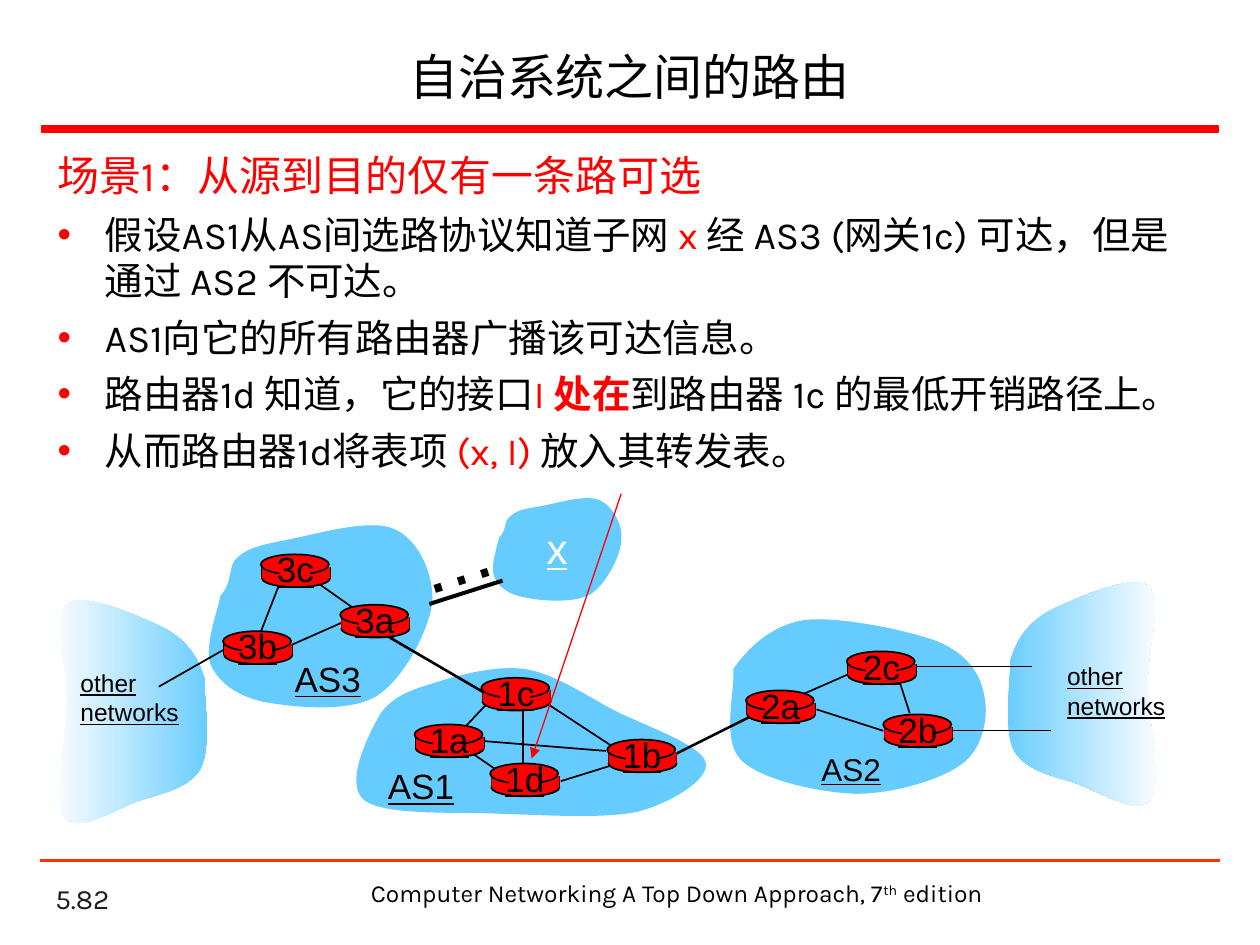
from lxml import etree
from pptx import Presentation
from pptx.dml.color import RGBColor
from pptx.enum.shapes import MSO_CONNECTOR, MSO_SHAPE
from pptx.enum.text import MSO_ANCHOR, MSO_AUTO_SIZE, PP_ALIGN
from pptx.oxml.ns import qn
from pptx.util import Inches, Pt

BLACK = RGBColor(0x00, 0x00, 0x00)
CHARCOAL = RGBColor(0x1C, 0x1C, 0x1C)
WHITE = RGBColor(0xFF, 0xFF, 0xFF)
RED = RGBColor(0xFF, 0x00, 0x00)
ORANGE = RGBColor(0xFF, 0x33, 0x00)
SKY = RGBColor(0x66, 0xCC, 0xFF)

STRAIGHT = MSO_CONNECTOR.STRAIGHT
OVAL, RECTANGLE = MSO_SHAPE.OVAL, MSO_SHAPE.RECTANGLE
TOP, MIDDLE, BOTTOM = MSO_ANCHOR.TOP, MSO_ANCHOR.MIDDLE, MSO_ANCHOR.BOTTOM
LEFT, CENTER = PP_ALIGN.LEFT, PP_ALIGN.CENTER
GROW = MSO_AUTO_SIZE.SHAPE_TO_FIT_TEXT

COLUMNS, ROWS = 10, 7.5
BULLET_INDENT = Pt(27)

# Outlines: a start point, then two control points and an end point per curve.
NETWORK = [
    (1.62, 5.38), (1.57, 5.22), (1.49, 5.09), (1.31, 4.99), (1.13, 4.9), (0.66, 4.69), (0.53, 4.79),
    (0.4, 4.89), (0.54, 5.3), (0.53, 5.58), (0.53, 5.86), (0.41, 6.35), (0.51, 6.49),
    (0.6, 6.62), (0.91, 6.43), (1.09, 6.36), (1.27, 6.3), (1.5, 6.26), (1.59, 6.1),
    (1.68, 5.94), (1.62, 5.53), (1.62, 5.38)]
MIRRORED_NETWORK = [(9.64 - x, y - 0.14) for x, y in NETWORK]
AS1 = [
    (3.01, 5.68), (3.11, 5.52), (3.28, 5.47), (3.48, 5.41), (3.67, 5.35), (3.94, 5.28), (4.17, 5.31),
    (4.4, 5.35), (4.62, 5.5), (4.86, 5.63), (5.09, 5.75), (5.57, 5.91), (5.6, 6.05),
    (5.64, 6.18), (5.33, 6.37), (5.07, 6.44), (4.8, 6.5), (4.36, 6.47), (4, 6.46),
    (3.64, 6.44), (3.06, 6.48), (2.89, 6.35), (2.73, 6.22), (2.92, 5.84), (3.01, 5.68)]
AS2 = [
    (5.82, 5.31), (5.93, 5.15), (6.12, 4.96), (6.39, 4.92), (6.66, 4.89), (7.2, 5), (7.44, 5.09),
    (7.68, 5.19), (7.78, 5.35), (7.81, 5.51), (7.85, 5.67), (7.81, 5.93), (7.64, 6.06),
    (7.47, 6.19), (7.09, 6.3), (6.79, 6.3), (6.5, 6.29), (6.04, 6.19), (5.88, 6.03),
    (5.72, 5.87), (5.84, 5.46), (5.82, 5.31)]
AS3 = [
    (1.75, 4.73), (1.86, 4.6), (1.8, 4.49), (1.89, 4.42), (1.98, 4.34), (2.1, 4.32), (2.3, 4.28),
    (2.51, 4.24), (2.94, 4.11), (3.13, 4.2), (3.32, 4.28), (3.45, 4.56), (3.43, 4.79),
    (3.4, 5.01), (3.2, 5.4), (2.98, 5.53), (2.76, 5.66), (2.3, 5.61), (2.09, 5.57),
    (1.87, 5.52), (1.73, 5.41), (1.67, 5.27), (1.62, 5.13), (1.73, 4.84), (1.75, 4.73)]
SUBNET_X = [
    (3.96, 4.27), (4.03, 4.2), (3.99, 4.14), (4.05, 4.1), (4.1, 4.05), (4.16, 4.04), (4.28, 4.02),
    (4.4, 4), (4.65, 3.92), (4.76, 3.97), (4.87, 4.02), (4.95, 4.18), (4.93, 4.3),
    (4.92, 4.43), (4.8, 4.65), (4.68, 4.72), (4.55, 4.79), (4.28, 4.77), (4.16, 4.74),
    (4.03, 4.72), (3.95, 4.65), (3.92, 4.57), (3.89, 4.49), (3.95, 4.33), (3.96, 4.27)]

LINKS = {  # line width in points: (x1, y1, x2, y2)
    1: [(2.31, 5.12, 2.74, 4.93), (2.81, 4.83, 2.54, 4.64), (2.22, 4.63, 2.06, 5.04),
        (1.77, 5.16, 1.26, 5.45), (3.87, 5.58, 3.7, 5.76), (4.15, 5.62, 4.15, 6.11),
        (4.32, 5.57, 4.87, 5.93), (4.87, 6.07, 4.45, 6.2), (4.81, 5.96, 3.82, 5.88),
        (3.72, 5.96, 3.94, 6.11), (6.28, 5.55, 6.76, 5.34), (6.48, 5.63, 7.01, 5.8),
        (7.14, 5.41, 7.22, 5.66)],
    0.75: [(7.26, 5.29, 8.19, 5.29), (7.53, 5.8, 8.34, 5.8)],
    1.5: [(5.37, 5.98, 5.95, 5.69), (3.06, 5.04, 3.83, 5.49)]}
ROUTERS = {
    "3b": (1.77, 5.01), "3c": (2.07, 4.4), "3a": (2.7, 4.8),
    "1c": (3.82, 5.38), "1a": (3.29, 5.75), "1d": (3.89, 6.06), "1b": (4.82, 5.87),
    "2a": (5.92, 5.48), "2c": (6.72, 5.17), "2b": (7.01, 5.67)}
LABELS = [  # text, box, size, colour
    ("AS3", (2.24, 5.17, 0.73, 0.43), 20, BLACK), ("AS2", (6.42, 5.9, 0.67, 0.4), 18, BLACK),
    ("AS1", (2.98, 6.02, 0.73, 0.43), 20, BLACK), ("x", (4.24, 4.1, 0.37, 0.5), 24, WHITE),
    ("other\nnetworks", (8.37, 5.2, 0.99, 0.57), 14, BLACK),
    ("other\nnetworks", (0.54, 5.25, 0.99, 0.57), 14, BLACK)]

HEADING = "场景1：从源到目的仅有一条路可选"
BULLETS = [  # runs of text, colour, bold
    [("假设AS1从AS间选路协议知道子网 ", BLACK, False), ("x ", RED, False),
     ("经 AS3 (网关1c) 可达，但是通过 AS2 不可达。", BLACK, False)],
    [("AS1向它的所有路由器广播该可达信息。", BLACK, False)],
    [("路由器1d 知道，它的接口", BLACK, False), ("I ", RED, False), ("处在", RED, True),
     ("到路由器 1c 的最低开销路径上。", BLACK, False)],
    [("从而路由器1d将表项 ", BLACK, False), ("(x, I) ", RED, False),
     ("放入其转发表。", BLACK, False)]]


def bend(shape):
    """Turn every three straight segments of a freeform into one cubic curve."""
    segments = list(shape._element.iter(qn("a:lnTo")))
    for i in range(0, len(segments), 3):
        curve = etree.Element(qn("a:cubicBezTo"))
        segments[i].addprevious(curve)
        for segment in segments[i:i + 3]:
            curve.append(segment[0])
            segment.getparent().remove(segment)


class SlideBuilder:
    """Draws on one slide; lengths are in columns and rows of the slide grid."""
    text_font, diagram_font = "Karla", "Arial"

    def __init__(self, presentation):
        self.slide = presentation.slides.add_slide(presentation.slide_layouts[6])
        self.shapes = self.slide.shapes
        self.column = presentation.slide_width / COLUMNS
        self.row = presentation.slide_height / ROWS

    def place(self, *lengths):
        return [round(length * (self.row if i % 2 else self.column))
                for i, length in enumerate(lengths)]

    def style(self, font, size, color, name=text_font, bold=False, underline=None):
        font.name, font.size, font.bold, font.underline = name, Pt(size), bold, underline
        font.color.rgb = color

    def block(self, kind, box, outlined=True, shapes=None):
        shape = (shapes or self.shapes).add_shape(kind, *self.place(*box))
        shape.shadow.inherit = False
        shape.fill.solid()
        shape.fill.fore_color.rgb = RED
        if outlined:
            shape.line.color.rgb = RED if kind == RECTANGLE else BLACK
            shape.line.width = Pt(1)
        else:
            shape.line.fill.background()

    def line(self, ends, color=BLACK, width=1, arrow=False, shapes=None):
        connector = (shapes or self.shapes).add_connector(STRAIGHT, *self.place(*ends))
        connector.line.color.rgb = color
        connector.line.width = Pt(width)
        if arrow:
            etree.SubElement(connector.line._get_or_add_ln(), qn("a:tailEnd"), type="triangle")
        etree.SubElement(connector._element.spPr, qn("a:effectLst"))

    def cloud(self, outline, colors=(SKY,)):
        """Draw a curved area, with a left-to-right gradient if given two colours."""
        builder = self.shapes.build_freeform(*self.place(*outline[0]))
        builder.add_line_segments([self.place(*point) for point in outline[1:]])
        shape = builder.convert_to_shape()
        bend(shape)
        shape.shadow.inherit = False
        shape.line.fill.background()
        if len(colors) == 1:
            shape.fill.solid()
            shape.fill.fore_color.rgb = colors[0]
        else:
            shape.fill.gradient()
            shape.fill.gradient_angle = 0
            for stop, color in zip(shape.fill.gradient_stops, colors):
                stop.color.rgb = color

    def text(self, text, box, size, color=BLACK, align=LEFT, anchor=TOP):
        shape = self.shapes.add_textbox(*self.place(*box))
        frame = shape.text_frame
        frame.text, frame.word_wrap, frame.vertical_anchor = text, True, anchor
        frame.paragraphs[0].alignment = align
        self.style(frame.paragraphs[0].runs[0].font, size, color)
        return frame

    def label(self, text, box, size, color=BLACK, align=LEFT, rotation=0, shapes=None):
        shape = (shapes or self.shapes).add_textbox(*self.place(*box))
        shape.rotation = rotation
        frame = shape.text_frame
        frame.text, frame.word_wrap, frame.auto_size = text, False, GROW
        for paragraph in frame.paragraphs:
            paragraph.alignment = align
            self.style(paragraph.runs[0].font, size, color, self.diagram_font, underline=True)

    def bullet(self, frame, runs):
        paragraph = frame.add_paragraph()
        paragraph.space_before = Pt(6)
        properties = paragraph._p.get_or_add_pPr()
        properties.set("marL", str(int(BULLET_INDENT)))
        properties.set("indent", str(-int(BULLET_INDENT)))
        bullet_color = etree.SubElement(properties, qn("a:buClr"))
        etree.SubElement(bullet_color, qn("a:srgbClr"), val=str(RED))
        etree.SubElement(properties, qn("a:buFont"), typeface=self.diagram_font)
        etree.SubElement(properties, qn("a:buChar"), char="•")
        for text, color, bold in runs:
            run = paragraph.add_run()
            run.text = text
            self.style(run.font, 22, color, bold=bold)

    def router(self, name, x, y):
        shapes = self.shapes.add_group_shape().shapes
        self.block(OVAL, (x + 0.01, y + 0.12, 0.54, 0.14), shapes=shapes)
        for side in (x + 0.01, x + 0.55):
            self.line((side, y + 0.1, side, y + 0.19), shapes=shapes)
        self.block(RECTANGLE, (x + 0.01, y + 0.1, 0.54, 0.09), False, shapes)
        self.block(OVAL, (x, y, 0.54, 0.16), shapes=shapes)
        self.block(RECTANGLE, (x + 0.15, y + 0.02, 0.24, 0.21), False, shapes)
        self.label(name, (x + 0.02, y - 0.1, 0.51, 0.43), 20, align=CENTER, shapes=shapes)


def main():
    presentation = Presentation()
    presentation.slide_width, presentation.slide_height = Inches(10), Inches(7.5)
    builder = SlideBuilder(presentation)

    builder.text("自治系统之间的路由", (0.37, 0.25, 9.25, 0.7), 28, align=CENTER, anchor=MIDDLE)
    builder.block(RECTANGLE, (0.33, 1, 9.34, 0.05))
    body = builder.text(HEADING, (0.36, 1.14, 9.26, 2.71), 24, RED)
    for runs in BULLETS:
        builder.bullet(body, runs)

    builder.cloud(NETWORK, (WHITE, SKY))
    builder.cloud(MIRRORED_NETWORK, (SKY, WHITE))
    for outline in (AS1, AS2, AS3, SUBNET_X):
        builder.cloud(outline)
    for width, links in LINKS.items():
        for ends in links:
            builder.line(ends, width=width)
    for name, corner in ROUTERS.items():
        builder.router(name, *corner)
    for label in LABELS:
        builder.label(*label)
    builder.label("…", (3.2, 3.99, 0.81, 0.83), 44, rotation=342.3)
    builder.line((4.93, 3.92, 4.22, 6.02), RED, 0.75, arrow=True)

    builder.line((0.32, 6.83, 9.68, 6.83), ORANGE, 1.5)
    builder.text("5.82", (0.34, 6.98, 2.08, 0.33), 16, CHARCOAL, anchor=BOTTOM)
    footer = builder.text("Computer Networking A Top Down Approach, 7",
                          (2.83, 6.92, 5.08, 0.34), 14, align=CENTER)
    for text, baseline in (("th", "30000"), (" edition", "0")):
        run = footer.paragraphs[0].add_run()
        run.text = text
        builder.style(run.font, 14, BLACK)
        run.font._element.set("baseline", baseline)
    presentation.save("out.pptx")


if __name__ == "__main__":
    main()
